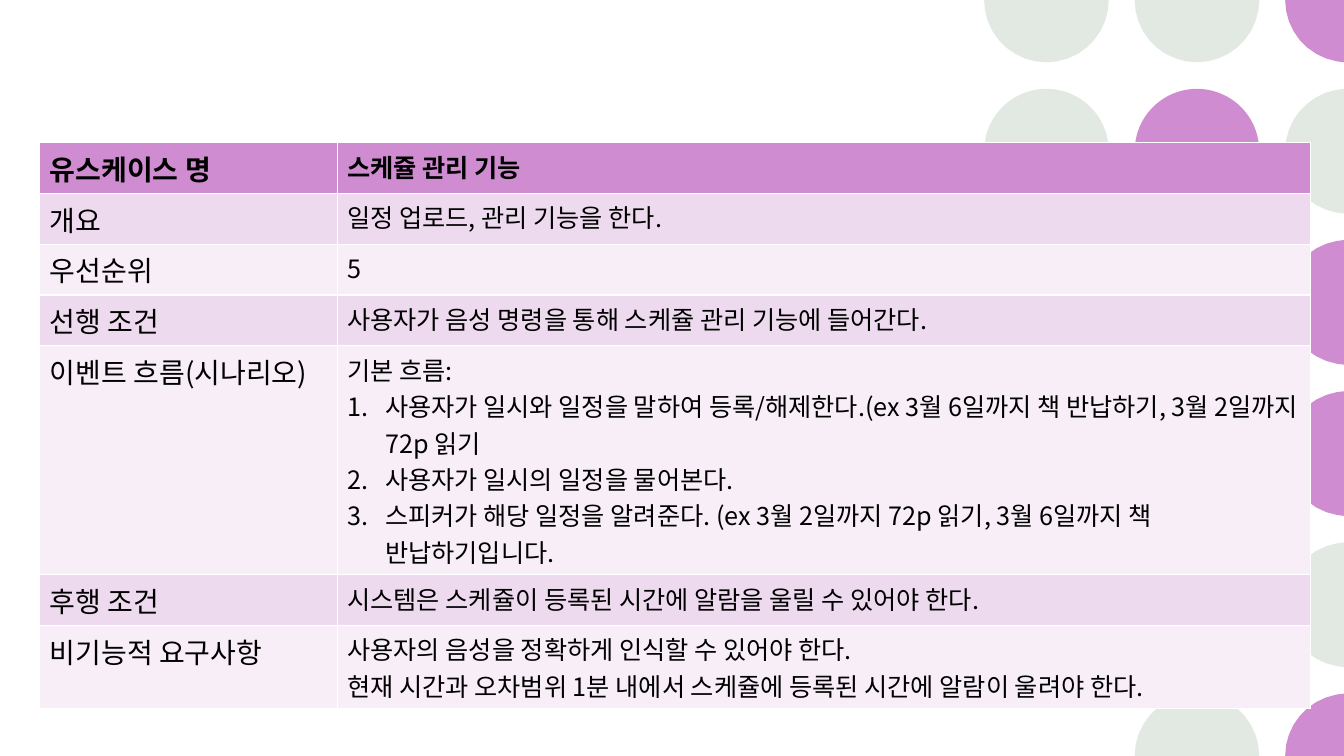
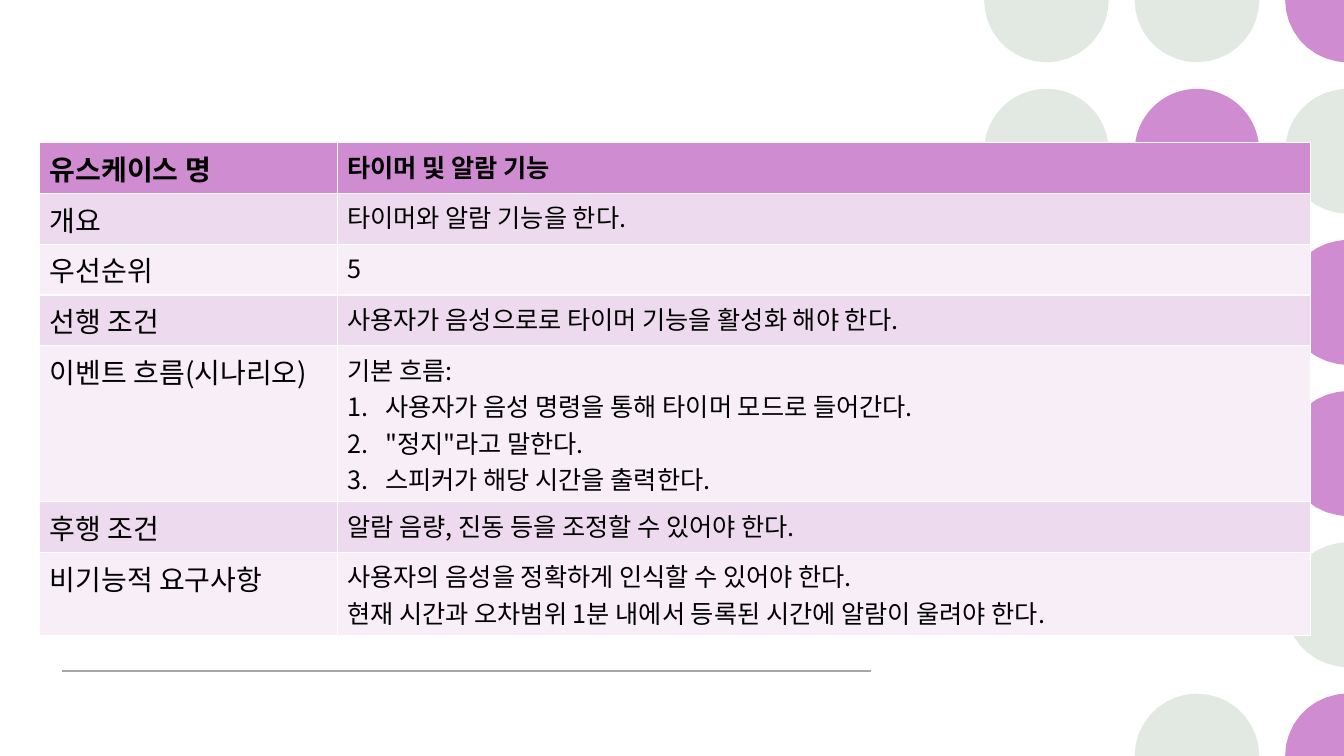
import math
import lxml.etree
import pptx
import pptx.dml.color
import pptx.enum.shapes
import pptx.oxml.ns
import pptx.util

Pt = pptx.util.Pt
qn = pptx.oxml.ns.qn
FONT = "Noto Sans CJK KR"
BLACK, GREY = "000000", "A6A6A6"
ORCHID, SAGE = "D08CD0", "E2E8E2"
BAND_DARK, BAND_LIGHT = "EEDAEE", "F7EEF7"
WIDTH, HEIGHT = 960, 540


def paint(target, color):
    target.solid()
    target.fore_color.rgb = pptx.dml.color.RGBColor.from_string(color)


deck = pptx.Presentation()
deck.slide_width, deck.slide_height = Pt(WIDTH), Pt(HEIGHT)
layout = deck.slide_layouts[6]
for placeholder in list(layout.placeholders):
    layout.shapes.element.remove(placeholder.element)
page = deck.slides.add_slide(layout)

RADIUS = 44.5
dot_columns = [
    [SAGE, SAGE],
    [SAGE, ORCHID, SAGE, SAGE, None, SAGE],
    [ORCHID, SAGE, ORCHID, ORCHID, SAGE, ORCHID],
]
for column, colors in enumerate(dot_columns):
    for row, color in enumerate(colors):
        if color is None:
            continue
        center_x, center_y = 747.5 + 107.5 * column, 108 * row
        at_right = center_x > WIDTH
        at_edge = center_y in (0, HEIGHT)
        if at_right or at_edge:
            first, last = {0: (0, 180), HEIGHT: (180, 360)}.get(center_y, (0, 360))
            if at_right:
                first, last = max(first, 90), min(last, 270)
            outline = []
            for degree in range(first, last + 1, 10):
                x = center_x + RADIUS * math.cos(math.radians(degree))
                y = center_y + RADIUS * math.sin(math.radians(degree))
                outline.append((Pt(min(x, WIDTH)), Pt(min(max(y, 0), HEIGHT))))
            if at_right and at_edge:
                outline.append((Pt(WIDTH), Pt(center_y)))
            builder = page.shapes.build_freeform(*outline[0])
            builder.add_line_segments(outline[1:], close=True)
            dot = builder.convert_to_shape()
        else:
            dot = page.shapes.add_shape(
                pptx.enum.shapes.MSO_SHAPE.OVAL,
                Pt(center_x - RADIUS), Pt(center_y - RADIUS), Pt(2 * RADIUS), Pt(2 * RADIUS))
        dot.shadow.inherit = False
        paint(dot.fill, color)
        dot.line.fill.background()

footer_rule = page.shapes.add_connector(
    pptx.enum.shapes.MSO_CONNECTOR.STRAIGHT, Pt(44.5), Pt(479.3), Pt(622), Pt(479.3))
paint(footer_rule.line.fill, GREY)
footer_rule.line.width = Pt(1)
lxml.etree.SubElement(footer_rule.element.spPr, qn("a:effectLst"))

for shape in list(page.shapes):
    layout.shapes.element.append(shape.element)

labels = ["유스케이스 명", "개요", "우선순위", "선행 조건", "이벤트 흐름(시나리오)",
          "후행 조건", "비기능적 요구사항"]
row_heights = [27.4, 27.4, 27.4, 27.4, 94.5, 27.4, 29.2]
FLOW_ROW = 4
use_cases = [
    (343.4, [
        ["스케쥴 관리 기능"],
        ["일정 업로드, 관리 기능을 한다."],
        ["5"],
        ["사용자가 음성 명령을 통해 스케쥴 관리 기능에 들어간다."],
        ["기본 흐름:",
         "사용자가 일시와 일정을 말하여 등록/해제한다.(ex 3월 6일까지 책 반납하기, 3월 2일까지 72p 읽기",
         "사용자가 일시의 일정을 물어본다.",
         "스피커가 해당 일정을 알려준다. (ex 3월 2일까지 72p 읽기,\u00a03월 6일까지 책 반납하기입니다."],
        ["시스템은 스케쥴이 등록된 시간에 알람을 울릴 수 있어야 한다."],
        ["사용자의 음성을 정확하게 인식할 수 있어야 한다.",
         "현재 시간과 오차범위 1분 내에서 스케쥴에 등록된 시간에 알람이 울려야 한다."],
    ]),
    (301, [
        ["타이머 및 알람 기능"],
        ["타이머와 알람 기능을 한다."],
        ["5"],
        ["사용자가 음성으로로 타이머 기능을 활성화 해야 한다."],
        ["기본 흐름:",
         "사용자가 음성 명령을 통해 타이머 모드로 들어간다.",
         "\"정지\"라고 말한다.",
         "스피커가 해당 시간을 출력한다."],
        ["알람 음량, 진동 등을 조정할 수 있어야 한다."],
        ["사용자의 음성을 정확하게 인식할 수 있어야 한다.",
         "현재 시간과 오차범위 1분 내에서\u00a0등록된 시간에 알람이 울려야 한다."],
    ]),
]

for number, (table_height, details) in enumerate(use_cases):
    if number > 0:
        page = deck.slides.add_slide(layout)
    frame = page.shapes.add_table(
        len(labels), 2, Pt(28.3), Pt(102), Pt(907.6), Pt(table_height))
    table = frame.table
    table.columns[0].width, table.columns[1].width = Pt(212.6), Pt(695)
    for row, (label, detail) in enumerate(zip(labels, details)):
        table.rows[row].height = Pt(row_heights[row])
        header = row == 0
        band = ORCHID if header else BAND_DARK if row % 2 else BAND_LIGHT
        for column, (lines, size) in enumerate([([label], 20), (detail, 18)]):
            cell = table.cell(row, column)
            paint(cell.fill, band)
            for index, line in enumerate(lines):
                para = cell.text_frame.paragraphs[0] if index == 0 else cell.text_frame.add_paragraph()
                if row == FLOW_ROW and index > 0:
                    properties = para._p.get_or_add_pPr()
                    properties.set("marL", str(Pt(27)))
                    properties.set("indent", str(-Pt(27)))
                    lxml.etree.SubElement(properties, qn("a:buFont"), typeface="+mj-lt")
                    lxml.etree.SubElement(properties, qn("a:buAutoNum"), type="arabicPeriod")
                span = para.add_run()
                span.text = line
                span.font.size = Pt(size)
                span.font.bold = header
                span.font.name = FONT
                paint(span.font.fill, BLACK)
                lxml.etree.SubElement(span._r.get_or_add_rPr(), qn("a:ea"), typeface=FONT)
    frame.height = Pt(table_height)

deck.save("out.pptx")
